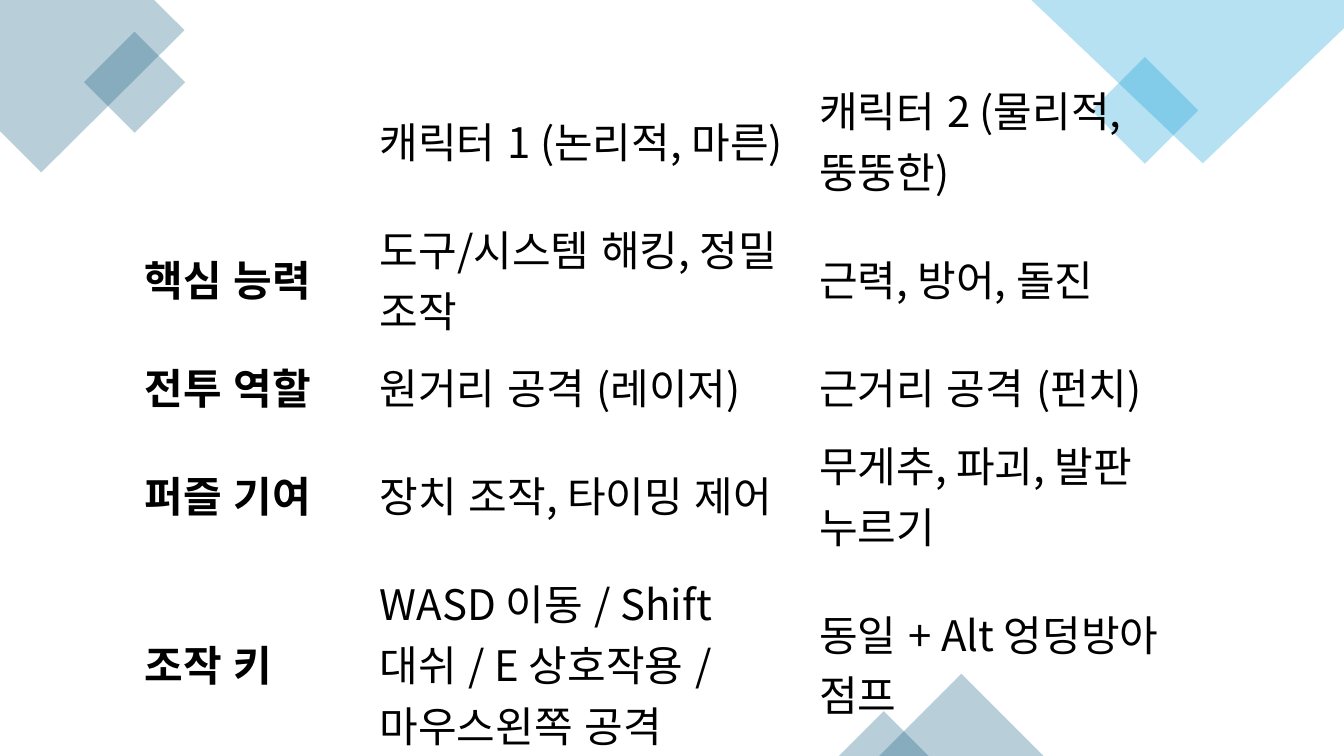
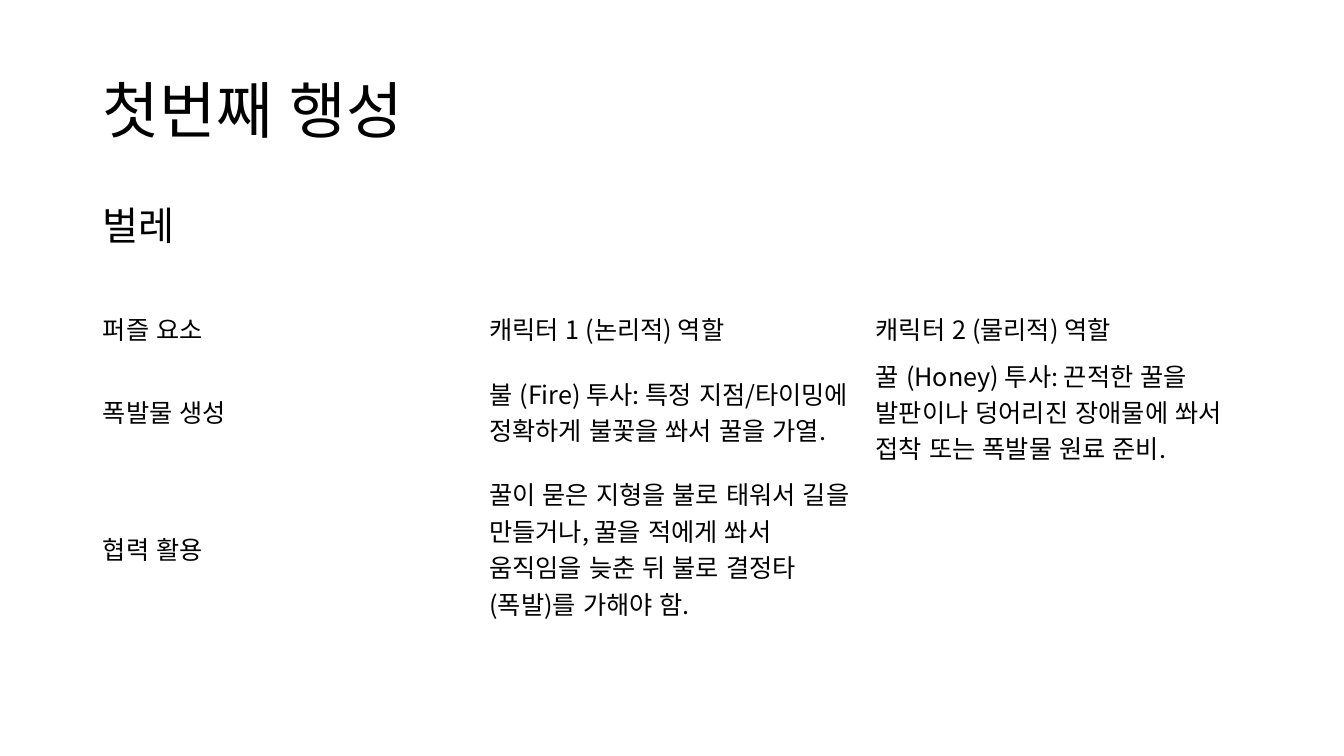
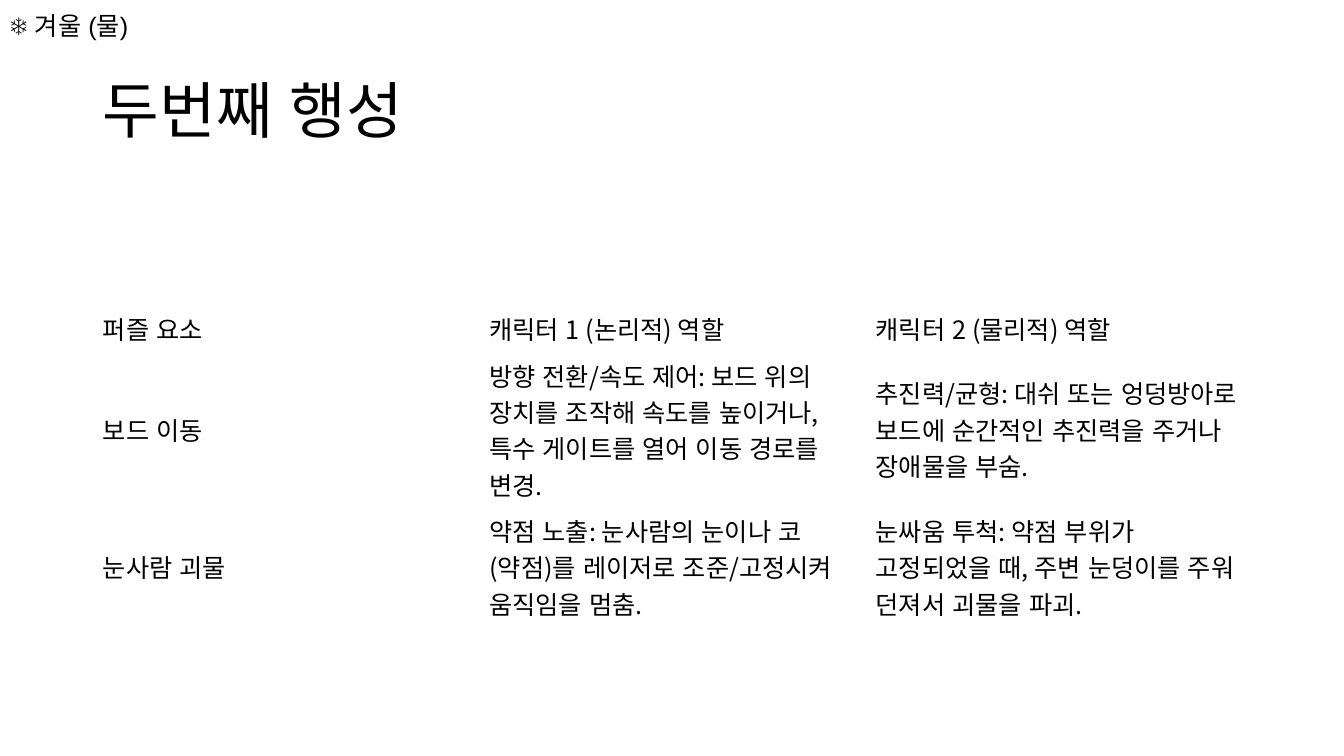
from dataclasses import dataclass

from lxml.etree import SubElement
from pptx import Presentation
from pptx.dml.color import RGBColor
from pptx.enum.lang import MSO_LANGUAGE_ID
from pptx.enum.shapes import MSO_SHAPE
from pptx.enum.text import MSO_ANCHOR, PP_ALIGN
from pptx.oxml.ns import qn
from pptx.util import Inches, Pt


@dataclass(frozen=True)
class Theme:
    ink: str = "000000"
    teal: str = "156082"
    sky: str = "0F9ED5"
    alpha: int = 30
    font: str = "Noto Sans CJK KR"
    note_font: str = "Arial"
    title: int = 44
    large: int = 30
    body: int = 28
    small: int = 18


THEME = Theme()
WIDTH, HEIGHT = 13.33, 7.5
LEFT, SPAN = 0.92, 11.5
LINE, PAD = 0.36, 0.1
NO_GRID = "{2D5ABB26-0587-4C30-8999-92F81FD0307C}"

ROLES = [
    ("", "캐릭터 1 (논리적, 마른)", "캐릭터 2 (물리적, 뚱뚱한)"),
    ("핵심 능력", "도구/시스템 해킹, 정밀 조작", "근력, 방어, 돌진"),
    ("전투 역할", "원거리 공격 (레이저)", "근거리 공격 (펀치)"),
    ("퍼즐 기여", "장치 조작, 타이밍 제어", "무게추, 파괴, 발판 누르기"),
    ("조작 키", "WASD 이동 / Shift 대쉬 / E 상호작용 / 마우스왼쪽 공격",
     "동일 + Alt 엉덩방아 점프"),
]
HEADS = ("퍼즐 요소", "캐릭터 1 (논리적) 역할", "캐릭터 2 (물리적) 역할")
PLANETS = [
    {
        "title": "첫번째 행성",
        "body": "벌레",
        "lines": (1, 3, 4),
        "rows": [
            ("폭발물 생성",
             "불 (Fire) 투사: 특정 지점/타이밍에 정확하게 불꽃을 쏴서 꿀을 가열.",
             "꿀 (Honey) 투사: 끈적한 꿀을 발판이나 덩어리진 장애물에 쏴서 "
             "접착 또는 폭발물 원료 준비."),
            ("협력 활용",
             "꿀이 묻은 지형을 불로 태워서 길을 만들거나, 꿀을 적에게 쏴서 "
             "움직임을 늦춘 뒤 불로 결정타 (폭발)를 가해야 함.",
             ""),
        ],
    },
    {
        "title": "두번째 행성",
        "note": "❄️ 겨울 (물)",
        "lines": (1, 4, 3),
        "rows": [
            ("보드 이동",
             "방향 전환/속도 제어: 보드 위의 장치를 조작해 속도를 높이거나, "
             "특수 게이트를 열어 이동 경로를 변경.",
             "추진력/균형: 대쉬 또는 엉덩방아로 보드에 순간적인 추진력을 "
             "주거나 장애물을 부숨."),
            ("눈사람 괴물",
             "약점 노출: 눈사람의 눈이나 코(약점)를 레이저로 조준/고정시켜 "
             "움직임을 멈춤.",
             "눈싸움 투척: 약점 부위가 고정되었을 때, 주변 눈덩이를 주워 "
             "던져서 괴물을 파괴."),
        ],
    },
]

CORNERS = [
    (THEME.teal, [(0, 0), (1.53, 0), (1.83, 0.3), (0.41, 1.71), (0, 1.3)]),
    (THEME.sky, [(10.23, 0), (WIDTH, 0), (WIDTH, 0.28), (11.93, 1.62)]),
]
SQUARES = [(THEME.teal, 0.98, 0.46, 0.71), (THEME.sky, 10.98, 0.72, 0.75)]
PEAKS = [(8.72, 1.63), (8.32, 0.89)]


def tint(shape, color):
    """Give a shape a see-through fill with no line or shadow."""
    shape.shadow.inherit = False
    shape.line.fill.background()
    shape.fill.solid()
    shape.fill.fore_color.rgb = RGBColor.from_string(color)
    tone = shape._element.spPr.find(".//" + qn("a:srgbClr"))
    SubElement(tone, qn("a:alpha"), val=str(THEME.alpha * 1000))


def write(frame, text, size, bold=False, font=THEME.font, **format):
    para = frame.paragraphs[0]
    para.alignment = PP_ALIGN.LEFT
    for key, value in format.items():
        setattr(para, key, value)
    run = para.add_run()
    run.text = text
    looks = {"size": Pt(size), "bold": bold, "name": font,
             "language_id": MSO_LANGUAGE_ID.KOREAN}
    for key, value in looks.items():
        setattr(run.font, key, value)
    run.font.color.rgb = RGBColor.from_string(THEME.ink)
    SubElement(run._r.get_or_add_rPr(), qn("a:ea"), typeface=THEME.font)


def add_text(slide, box, text, size, anchor=MSO_ANCHOR.MIDDLE, **format):
    frame = slide.shapes.add_textbox(*map(Inches, box)).text_frame
    frame.word_wrap = True
    frame.vertical_anchor = anchor
    write(frame, text, size, **format)


def add_grid(slide, spot, cols, tall, rows, size, inset, strong=False):
    """Add a plain table; inset is in points, strong bolds column one."""
    box = (*spot, sum(cols), sum(tall))
    table = slide.shapes.add_table(
        len(rows), len(cols), *map(Inches, box)).table
    table.first_row = table.horz_banding = False
    table._tbl.tblPr.find(qn("a:tableStyleId")).text = NO_GRID
    for col, width in zip(table.columns, cols):
        col.width = Inches(width)
    for row, height in zip(table.rows, tall):
        row.height = Inches(height)
    side, edge = map(Pt, inset)
    looks = {"margin_left": side, "margin_right": side, "margin_top": edge,
             "margin_bottom": edge, "vertical_anchor": MSO_ANCHOR.MIDDLE}
    for r, row in enumerate(rows):
        for c, text in enumerate(row):
            cell = table.cell(r, c)
            cell.fill.background()
            for key, value in looks.items():
                setattr(cell, key, value)
            if text:
                write(cell.text_frame, text, size, bold=strong and c == 0)


def add_decor(slide):
    shapes = slide.shapes
    for color, points in CORNERS:
        first, *rest = [(Inches(x), Inches(y)) for x, y in points]
        form = shapes.build_freeform(*first)
        form.add_line_segments(rest, close=True)
        tint(form.convert_to_shape(), color)
    for color, x, y, side in SQUARES:
        square = shapes.add_shape(
            MSO_SHAPE.RECTANGLE, *map(Inches, (x, y, side, side)))
        square.rotation = 315
        tint(square, color)
    for x, width in PEAKS:
        rise = width / 2
        peak = shapes.add_shape(
            MSO_SHAPE.ISOSCELES_TRIANGLE,
            *map(Inches, (x, HEIGHT - rise, width, rise)))
        tint(peak, THEME.teal)


def add_planet(slide, planet):
    add_text(slide, (LEFT, 0.4, SPAN, 1.45), planet["title"], THEME.title,
             line_spacing=0.9)
    if "body" in planet:
        add_text(slide, (LEFT, 2, SPAN, 4.76), planet["body"], THEME.body,
                 MSO_ANCHOR.TOP, line_spacing=0.9, space_before=Pt(10))
    tall = [count * LINE + PAD for count in planet["lines"]]
    add_grid(slide, (LEFT, 3.03), [SPAN / 3] * 3, tall,
             [HEADS, *planet["rows"]], THEME.small, (7.2, 3.6))
    if "note" in planet:
        add_text(slide, (0, 0, WIDTH, 0.5), planet["note"], THEME.small,
                 font=THEME.note_font)


def main():
    deck = Presentation()
    deck.slide_width, deck.slide_height = Inches(WIDTH), Inches(HEIGHT)
    blank = deck.slide_layouts[6]
    slide = deck.slides.add_slide(blank)
    add_decor(slide)
    add_grid(slide, (1.27, 0.7), [2.33, 4.36, 4.1],
             [1.22, 1.22, 0.72, 1.22, 1.71], ROLES, THEME.large,
             (12, 6), strong=True)
    for planet in PLANETS:
        add_planet(deck.slides.add_slide(blank), planet)
    deck.save("out.pptx")


if __name__ == "__main__":
    main()
